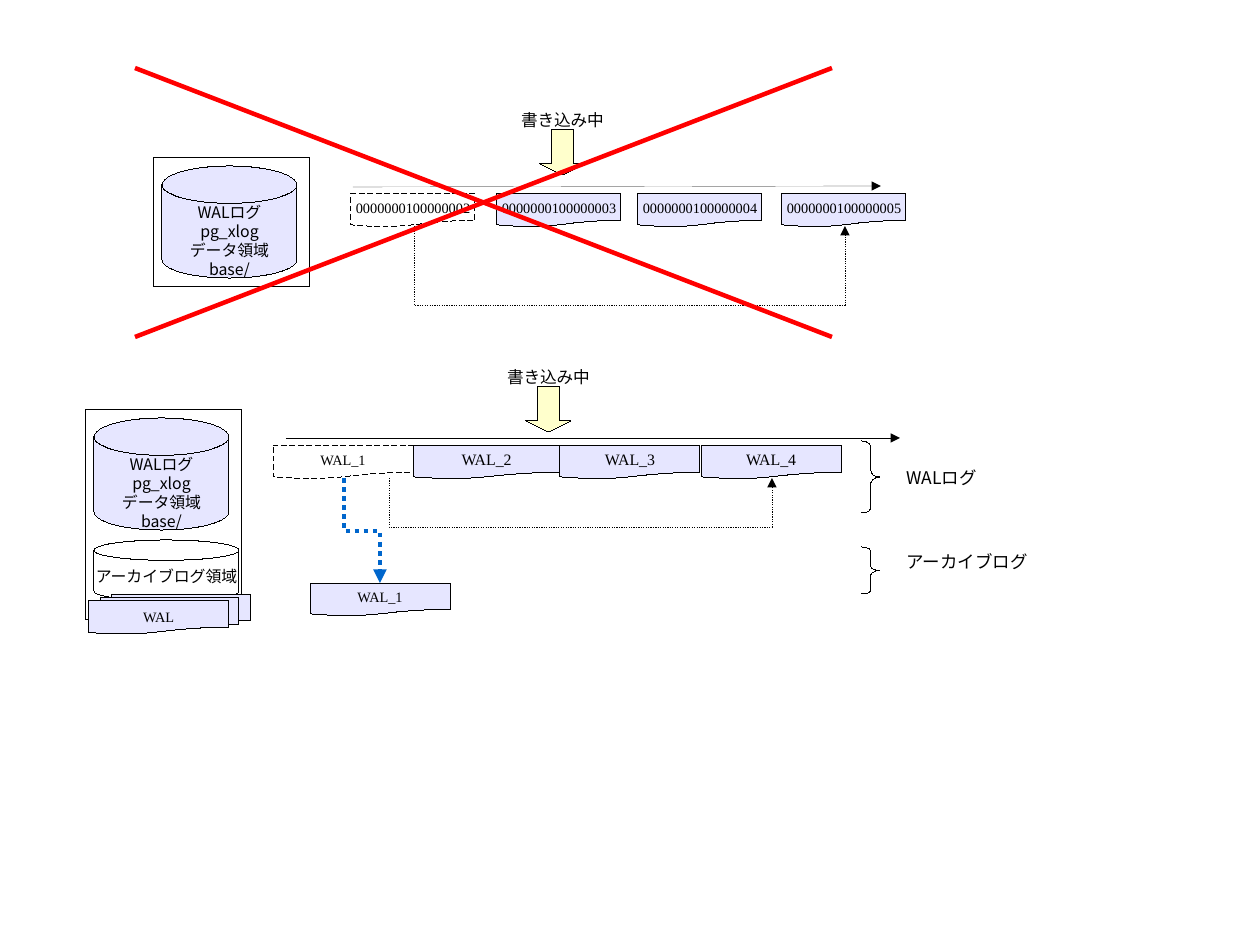
import pptx
import pptx.util
import pptx.dml.color
import pptx.enum.dml
import pptx.enum.shapes
import pptx.enum.text
import pptx.oxml
import pptx.oxml.ns

PX = 8000  # EMU in one px; the slide is 1260 by 945 px
SHAPE = pptx.enum.shapes.MSO_SHAPE
ALIGN = pptx.enum.text.PP_ALIGN
DASH = pptx.enum.dml.MSO_LINE
SANS, SERIF = "Noto Sans CJK JP", "Times New Roman"
BLACK, LILAC, CREAM, RED, BLUE = "000000", "E6E6FF", "FFFFCC", "FF0000", "0066CC"
HAIR = 0.01  # thinnest line, in points


def color(code):
    return pptx.dml.color.RGBColor.from_string(code)


def px(*nums):
    return [pptx.util.Emu(n * PX) for n in nums]


def node(text):
    return pptx.oxml.parse_xml(text % pptx.oxml.ns.nsdecls("a"))


def stroke(line, code=BLACK, width=HAIR, dash=None, head=False):
    line.color.rgb = color(code)
    line.width = pptx.util.Pt(width)
    if dash:
        line.dash_style = dash
    if head:
        line._get_or_add_ln().append(node('<a:tailEnd %s type="triangle"/>'))


def paint(shape, fill):
    shape.shadow.inherit = False
    if fill:
        shape.fill.solid()
        shape.fill.fore_color.rgb = color(fill)
    else:
        shape.fill.background()


def write(shape, lines, size, font, align=ALIGN.CENTER, top=6):
    frame = shape.text_frame
    frame.word_wrap = False
    frame.vertical_anchor = pptx.enum.text.MSO_ANCHOR.MIDDLE
    frame.margin_top = top * PX
    frame.text = "\n".join(lines)
    for para in frame.paragraphs:
        para.alignment = align
        para.font.size = pptx.util.Pt(size)
        para.font.name = font
        para.font.color.rgb = color(BLACK)


def block(slide, kind, box, fill=None, dash=None):
    shape = slide.shapes.add_shape(kind, *px(*box))
    paint(shape, fill)
    stroke(shape.line, dash=dash)
    return shape


def label(slide, box, text, size, align):
    write(slide.shapes.add_textbox(*px(*box)), [text], size, SANS, align)


def sheet(slide, x, y, w, text, size, old=False):
    """A log file; an old one is dashed and empty."""
    shape = block(slide, SHAPE.FLOWCHART_DOCUMENT, (x, y, w, 33),
                  None if old else LILAC, DASH.DASH if old else None)
    write(shape, [text], size, SERIF)


def store(slide, x, y, high):
    """A frame around the database disk."""
    block(slide, SHAPE.RECTANGLE, (x, y, 157, high))
    disk = block(slide, SHAPE.FLOWCHART_MAGNETIC_DISK, (x + 9, y + 9, 135, 112), LILAC)
    write(disk, ["WALログ", "pg_xlog", "データ領域", "base/"], 10, SANS, top=25)


def marker(slide, x, y):
    """The arrow that shows where writing goes on."""
    block(slide, SHAPE.DOWN_ARROW, (x, y, 45, 45), CREAM).adjustments[1] = 0.25
    label(slide, (x - 34, y - 23, 113, 25), "書き込み中", 10.5, ALIGN.CENTER)


def straight(slide, ends, **style):
    line = slide.shapes.add_connector(
        pptx.enum.shapes.MSO_CONNECTOR.STRAIGHT, *px(*ends))
    stroke(line.line, **style)
    line._element.spPr.append(node("<a:effectLst %s/>"))


def bent(slide, start, bend, end, **style):
    """An arrow that runs down to the bend, across, and on to its end."""
    pen = slide.shapes.build_freeform(*start, scale=PX)
    pen.add_line_segments([(start[0], bend), (end[0], bend), end], close=False)
    shape = pen.convert_to_shape()
    paint(shape, None)
    stroke(shape.line, dash=DASH.ROUND_DOT, head=True, **style)


def brace(slide, y, high, text, mid):
    shape = block(slide, SHAPE.RIGHT_BRACE, (862, y, 18, high))
    shape.adjustments[0] = high / 18 / 12
    label(slide, (895, mid - 16, 145, 32), text, 11, ALIGN.LEFT)


def main():
    deck = pptx.Presentation()
    deck.slide_width, deck.slide_height = px(1260, 945)
    slide = deck.slides.add_slide(deck.slide_layouts[6])

    # Upper part: files are used again
    store(slide, 153, 157, 130)
    straight(slide, (353, 187, 881, 186), head=True)
    for num, x in enumerate((351, 497, 638, 782), 2):
        sheet(slide, x, 194, 124, f"000000010000000{num}", 9, old=num == 2)
    marker(slide, 540, 130)
    bent(slide, (414, 226), 305, (845, 226))

    # Lower part: database and archive
    store(slide, 85, 409, 211)
    disk = block(slide, SHAPE.FLOWCHART_MAGNETIC_DISK, (94, 540, 145, 61))
    write(disk, ["アーカイブログ領域"], 10, SERIF)
    pile = block(slide, SHAPE.FLOWCHART_MULTIDOCUMENT, (89, 594, 162, 40), LILAC)
    write(pile, ["WAL"], 9, SERIF)

    # Lower part: log files
    straight(slide, (286, 438, 900, 438), head=True)
    for num, (x, w) in enumerate(((273, 140), (413, 147), (560, 140), (701, 140)), 1):
        sheet(slide, x, 446, w, f"WAL_{num}", 9 if num == 1 else 10, old=num == 1)
    sheet(slide, 310, 583, 140, "WAL_1", 9)
    marker(slide, 526, 387)
    bent(slide, (344, 478), 531, (380, 583), code=BLUE, width=2.86)
    bent(slide, (389, 478), 527, (772, 478))

    # Braces with their names
    brace(slide, 441, 72, "WALログ", 477)
    brace(slide, 547, 47, "アーカイブログ", 561)

    # Red cross over the upper part
    for top, base in ((68, 337), (337, 68)):
        straight(slide, (832, top, 135, base), code=RED, width=2.83)

    deck.save("out.pptx")


if __name__ == "__main__":
    main()
